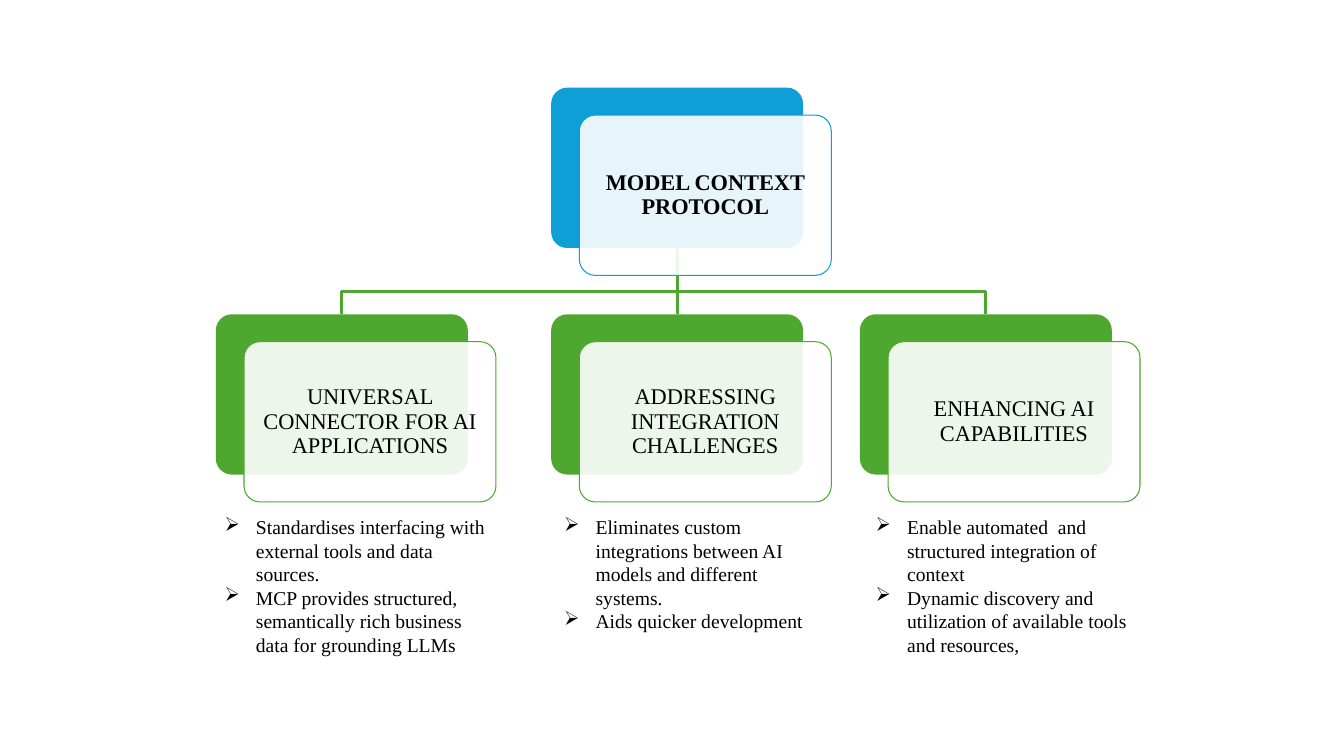
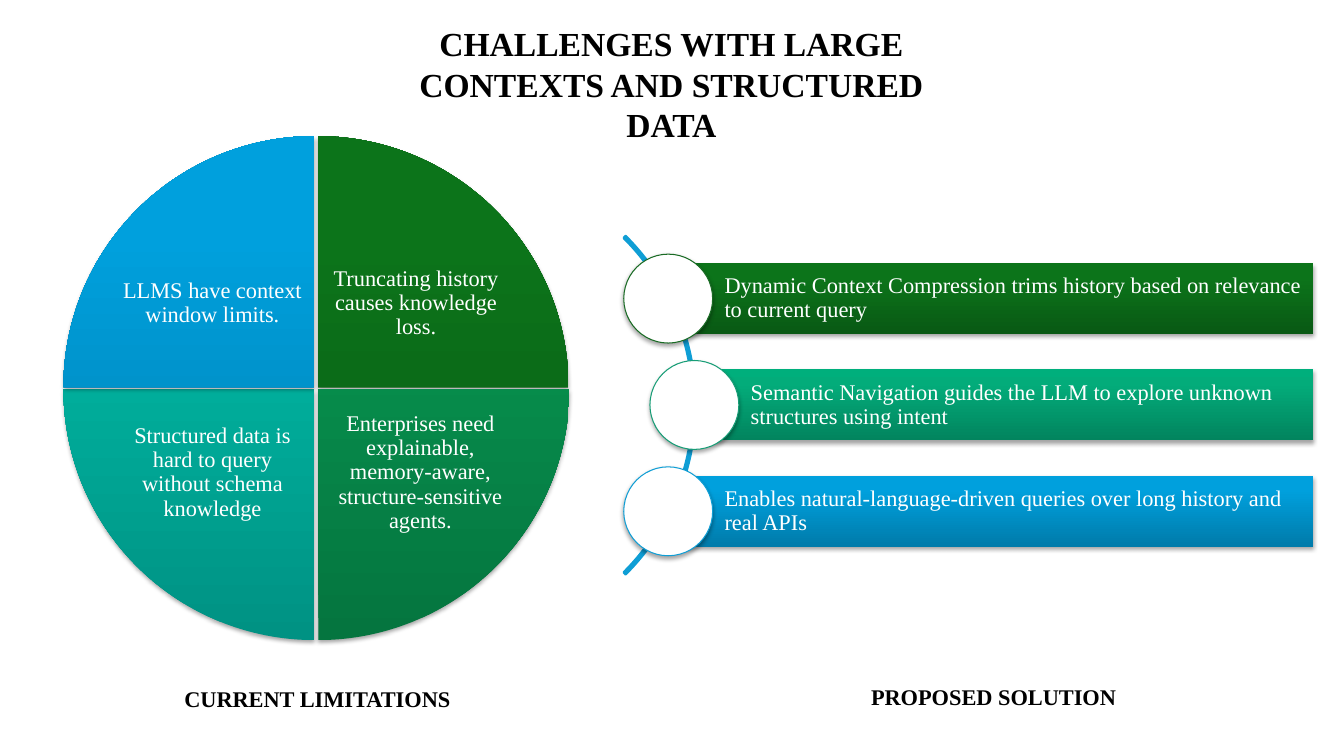
from dataclasses import dataclass

from lxml.etree import SubElement
from pptx import Presentation
from pptx.dml.color import RGBColor
from pptx.enum.shapes import MSO_CONNECTOR, MSO_SHAPE
from pptx.enum.text import MSO_ANCHOR, PP_ALIGN
from pptx.oxml.ns import qn
from pptx.shapes.autoshape import Shape
from pptx.slide import Slide
from pptx.util import Cm, Pt

FONT = "Times New Roman"
BLACK = RGBColor(0x00, 0x00, 0x00)
WHITE = RGBColor(0xFF, 0xFF, 0xFF)
BLUE = RGBColor(0x0F, 0x9E, 0xD5)
GREEN = RGBColor(0x4E, 0xA7, 0x2E)
PINE = RGBColor(0x19, 0x6B, 0x24)
TEAL = RGBColor(0x17, 0x9D, 0x76)

Fade = tuple[RGBColor, RGBColor, RGBColor]
FOREST: Fade = (RGBColor(0x09, 0x59, 0x14), RGBColor(0x0C, 0x74, 0x1A), RGBColor(0x0A, 0x76, 0x19))
LEAF: Fade = (RGBColor(0x05, 0x75, 0x3F), RGBColor(0x07, 0x98, 0x52), RGBColor(0x04, 0x9C, 0x52))
AQUA: Fade = (RGBColor(0x00, 0x92, 0x83), RGBColor(0x00, 0xBE, 0xAA), RGBColor(0x00, 0xBF, 0xAB))
MINT: Fade = (RGBColor(0x02, 0x84, 0x5E), RGBColor(0x03, 0xAC, 0x7A), RGBColor(0x00, 0xAF, 0x7C))
SKY: Fade = (RGBColor(0x00, 0x7B, 0xAA), RGBColor(0x00, 0xA0, 0xDD), RGBColor(0x00, 0xA0, 0xDE))
STOPS = (0, 80000, 100000)

CARD_W, CARD_H = 6.35, 4.04
SHIFT_X, SHIFT_Y = 0.71, 0.69
ROOT_X, ROOT_Y = 13.89, 2.21
ROW_Y, BUS_Y = 7.92, 7.34
LIST_Y, LIST_H = 12.85, 3.84

PIE = 12.65
BAR_Y, BAR_H, BAR_STEP, BAR_END = 6.63, 1.79, 2.68, 33.1
DOT = 2.24


@dataclass(frozen=True)
class Box:
    x: float
    y: float
    w: float
    h: float


@dataclass(frozen=True)
class Branch:
    x: float
    title: str
    list_x: float
    list_w: float
    points: tuple[str, ...]


@dataclass(frozen=True)
class Wedge:
    x: float
    y: float
    start: int
    end: int
    fade: Fade
    text_x: float
    text_y: float
    text: str


@dataclass(frozen=True)
class Bar:
    x: float
    fade: Fade
    ring: RGBColor
    text: str


BRANCHES = (
    Branch(5.44, "UNIVERSAL CONNECTOR FOR AI APPLICATIONS", 5.41, 7.11, (
        "Standardises interfacing with external tools and data sources.",
        "MCP provides structured, semantically rich business data for grounding LLMs")),
    Branch(ROOT_X, "ADDRESSING INTEGRATION CHALLENGES", 13.97, 6.91, (
        "Eliminates custom integrations between AI models and different systems.",
        "Aids quicker development")),
    Branch(21.67, "ENHANCING AI CAPABILITIES", 21.82, 6.91, (
        "Enable automated  and structured integration of context",
        "Dynamic discovery and utilization of available tools and resources,")),
)

WEDGES = (
    Wedge(1.68, 3.43, 162, 0, FOREST, 8.15, 5.77, "Truncating history causes knowledge loss."),
    Wedge(1.7, 3.48, 0, 54, LEAF, 8.26, 10.03,
          "Enterprises need explainable, memory-aware, structure-sensitive agents."),
    Wedge(1.6, 3.48, 54, 108, AQUA, 3.02, 10.03,
          "Structured data is hard to query without schema knowledge"),
    Wedge(1.6, 3.43, 108, 162, SKY, 3.02, 5.77, "LLMS have context window limits."),
)

BARS = (
    Bar(16.84, FOREST, PINE,
        "Dynamic Context Compression trims history based on relevance to current query"),
    Bar(17.5, MINT, TEAL,
        "Semantic Navigation guides the LLM to explore unknown structures using intent"),
    Bar(16.84, SKY, BLUE,
        "Enables natural-language-driven queries over long history and real APIs"),
)


def add_form(slide: Slide, kind: MSO_SHAPE, box: Box, fill: RGBColor | None = None,
             line: RGBColor | None = None, width: float = 0.75) -> Shape:
    form = slide.shapes.add_shape(kind, Cm(box.x), Cm(box.y), Cm(box.w), Cm(box.h))
    form.shadow.inherit = False
    if fill is None:
        form.fill.background()
    else:
        form.fill.solid()
        form.fill.fore_color.rgb = fill
    if line is None:
        form.line.fill.background()
    else:
        form.line.color.rgb = line
        form.line.width = Pt(width)
    return form


def add_shade(form: Shape) -> None:
    shade = SubElement(form.element.spPr.find(qn("a:effectLst")), qn("a:outerShdw"),
                       blurRad="40000", dist="23000", dir="5400000", rotWithShape="0")
    tint = SubElement(shade, qn("a:srgbClr"), val=str(BLACK))
    SubElement(tint, qn("a:alpha"), val="35000")


def add_fade(form: Shape, fade: Fade) -> None:
    form.fill.gradient()
    form.fill.gradient_angle = 90
    stops = form.element.spPr.find(qn("a:gradFill")).find(qn("a:gsLst"))
    for old in list(stops):
        stops.remove(old)
    for place, tint in zip(STOPS, fade):
        stop = SubElement(stops, qn("a:gs"), pos=str(place))
        SubElement(stop, qn("a:srgbClr"), val=str(tint))


def write(form: Shape, lines: tuple[str, ...], size: int = 16, color: RGBColor = BLACK,
          bold: bool = False, align: PP_ALIGN = PP_ALIGN.CENTER, space: float = 1.0,
          anchor: MSO_ANCHOR = MSO_ANCHOR.TOP, inset: float | None = None) -> None:
    frame = form.text_frame
    frame.word_wrap = True
    frame.vertical_anchor = anchor
    if inset is not None:
        frame.margin_left = frame.margin_right = Cm(inset)
        frame.margin_top = frame.margin_bottom = Cm(inset)
    for i, line in enumerate(lines):
        para = frame.add_paragraph() if i else frame.paragraphs[0]
        para.text = line
        para.alignment = align
        para.line_spacing = space
        para.font.name = FONT
        para.font.size = Pt(size)
        para.font.bold = bold
        para.font.color.rgb = color


def add_text(slide: Slide, box: Box) -> Shape:
    return slide.shapes.add_textbox(Cm(box.x), Cm(box.y), Cm(box.w), Cm(box.h))


def add_card(slide: Slide, x: float, y: float, tint: RGBColor, text: str,
             bold: bool = False) -> None:
    back = add_form(slide, MSO_SHAPE.ROUNDED_RECTANGLE, Box(x, y, CARD_W, CARD_H), tint)
    front = add_form(slide, MSO_SHAPE.ROUNDED_RECTANGLE,
                     Box(x + SHIFT_X, y + SHIFT_Y, CARD_W, CARD_H), WHITE, tint)
    for form in (back, front):
        form.adjustments[0] = 0.1
    SubElement(front.element.spPr.find(qn("a:solidFill"))[0], qn("a:alpha"), val="90000")
    write(front, (text,), bold=bold, space=0.9, anchor=MSO_ANCHOR.MIDDLE, inset=0.18)


def add_link(slide: Slide, x: float) -> None:
    mid, top = ROOT_X + CARD_W / 2, ROOT_Y + CARD_H
    end = x + CARD_W / 2
    if x == ROOT_X:
        link = slide.shapes.add_connector(MSO_CONNECTOR.STRAIGHT,
                                          Cm(mid), Cm(top), Cm(end), Cm(ROW_Y))
        SubElement(link.element.spPr, qn("a:effectLst"))
    else:
        path = slide.shapes.build_freeform(Cm(mid), Cm(top))
        turns = ((mid, BUS_Y), (end, BUS_Y), (end, ROW_Y))
        path.add_line_segments([(Cm(a), Cm(b)) for a, b in turns], close=False)
        link = path.convert_to_shape()
        link.shadow.inherit = False
        link.fill.background()
    link.line.color.rgb = GREEN
    link.line.width = Pt(2)


def add_list(slide: Slide, branch: Branch) -> None:
    form = add_text(slide, Box(branch.list_x, LIST_Y, branch.list_w, LIST_H))
    write(form, branch.points, size=14, align=PP_ALIGN.LEFT)
    for para in form.text_frame.paragraphs:
        props = para._p.get_or_add_pPr()
        props.set("marL", str(Cm(0.79)))
        props.set("indent", str(-Cm(0.79)))
        mark = props.makeelement(qn("a:buChar"), {"char": "➢"})
        props.find(qn("a:defRPr")).addprevious(mark)


def add_wedge(slide: Slide, wedge: Wedge) -> None:
    form = add_form(slide, MSO_SHAPE.PIE, Box(wedge.x, wedge.y, PIE, PIE))
    form.adjustments[0] = wedge.start
    form.adjustments[1] = wedge.end
    add_fade(form, wedge.fade)
    add_shade(form)
    label = add_text(slide, Box(wedge.text_x, wedge.text_y, 4.67, 3.76))
    write(label, (wedge.text,), color=WHITE, space=0.9, anchor=MSO_ANCHOR.MIDDLE, inset=0.05)


def add_bar(slide: Slide, bar: Bar, y: float) -> None:
    form = add_form(slide, MSO_SHAPE.RECTANGLE, Box(bar.x, y, BAR_END - bar.x, BAR_H))
    add_fade(form, bar.fade)
    add_shade(form)
    write(form, (bar.text,), color=WHITE, align=PP_ALIGN.LEFT, space=0.9,
          anchor=MSO_ANCHOR.MIDDLE, inset=0.1)
    form.text_frame.margin_left = Cm(1.42)
    spot = Box(bar.x - DOT / 2, y + (BAR_H - DOT) / 2, DOT, DOT)
    add_shade(add_form(slide, MSO_SHAPE.OVAL, spot, WHITE, bar.ring))


def draw_tree(slide: Slide) -> None:
    for branch in BRANCHES:
        add_link(slide, branch.x)
    add_card(slide, ROOT_X, ROOT_Y, BLUE, "MODEL CONTEXT PROTOCOL", bold=True)
    for branch in BRANCHES:
        add_card(slide, branch.x, ROW_Y, GREEN, branch.title)
        add_list(slide, branch)


def draw_plan(slide: Slide) -> None:
    for wedge in WEDGES:
        add_wedge(slide, wedge)
    title = add_text(slide, Box(9.68, 0.46, 14.48, 3.33))
    write(title, ("CHALLENGES WITH LARGE CONTEXTS AND STRUCTURED DATA",), size=24, bold=True)
    arc = add_form(slide, MSO_SHAPE.BLOCK_ARC, Box(5.49, 4.19, 12.04, 12.04), None, BLUE, 2)
    for i, value in enumerate((189, 27, 0.005)):
        arc.adjustments[i] = value
    for i, bar in enumerate(BARS):
        add_bar(slide, bar, BAR_Y + i * BAR_STEP)
    for x, y, text in ((2.77, 17.15, "CURRENT LIMITATIONS"), (19.81, 17.09, "PROPOSED SOLUTION")):
        write(add_text(slide, Box(x, y, 10.46, 0.94)), (text,), bold=True)


def main() -> None:
    deck = Presentation()
    deck.slide_width, deck.slide_height = Cm(33.87), Cm(19.05)
    for draw in (draw_tree, draw_plan):
        draw(deck.slides.add_slide(deck.slide_layouts[6]))
    deck.save("out.pptx")


if __name__ == "__main__":
    main()
